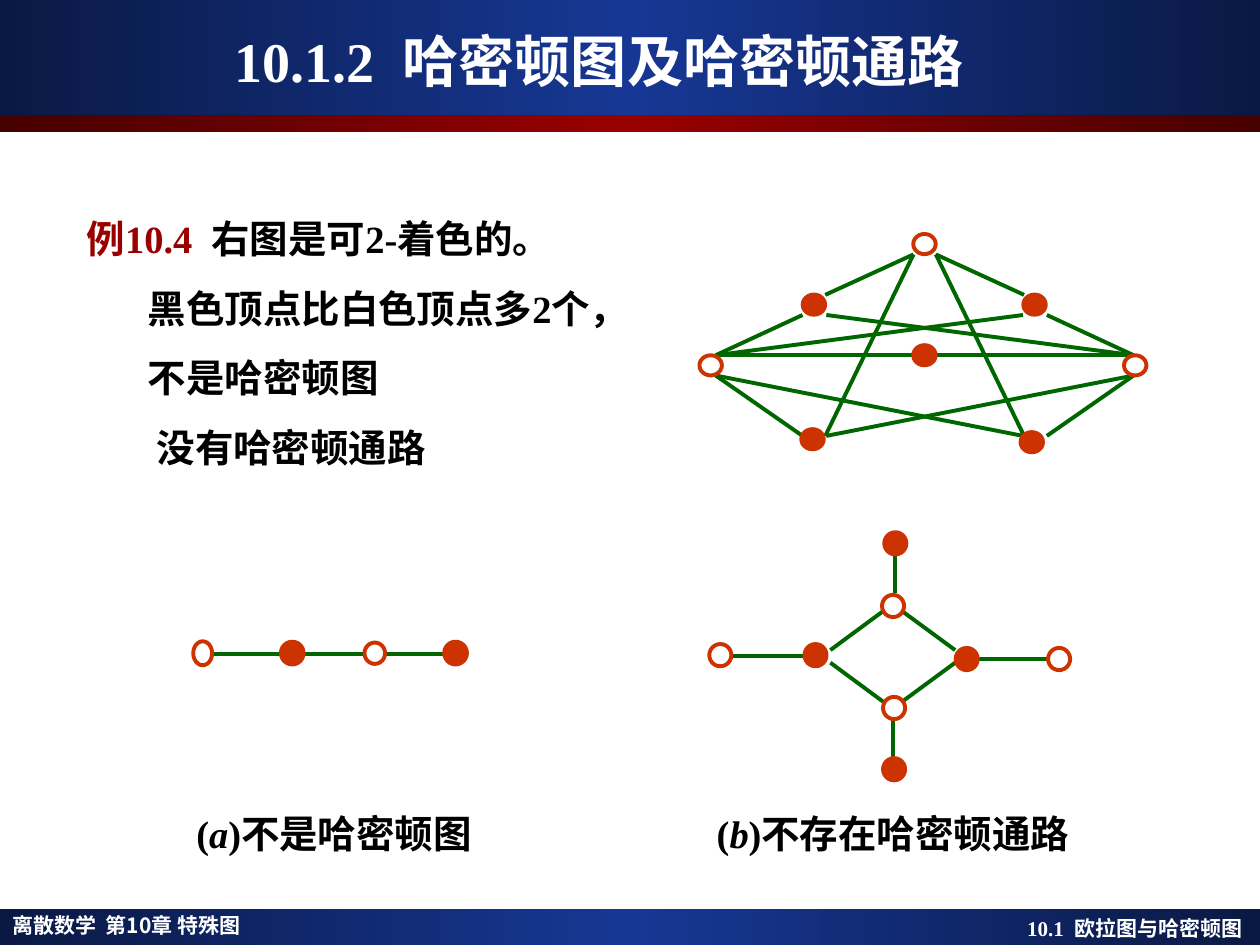
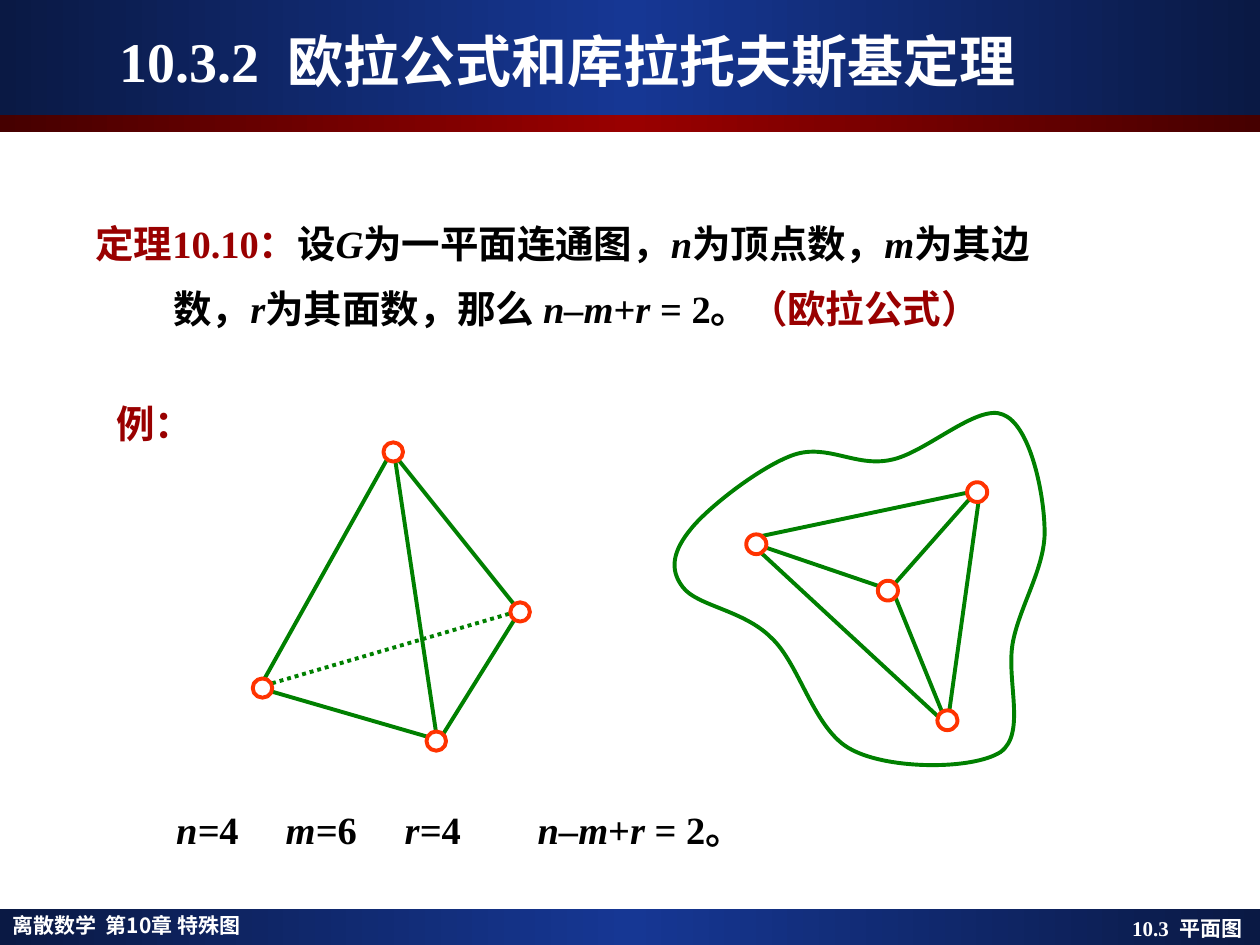
from copy import deepcopy

from pptx import Presentation
from pptx.dml.color import RGBColor
from pptx.enum.dml import MSO_LINE
from pptx.enum.shapes import MSO_CONNECTOR, MSO_SHAPE
from pptx.enum.text import MSO_ANCHOR, PP_ALIGN
from pptx.oxml.ns import qn
from pptx.util import Pt
from lxml.etree import SubElement

WHITE = RGBColor(0xFF, 0xFF, 0xFF)
BLACK = RGBColor(0, 0, 0)
NAVY = RGBColor(0x0A, 0x19, 0x44)
BLUE = RGBColor(0x16, 0x37, 0x94)
MAROON = RGBColor(0x46, 0, 0)
RED = RGBColor(0x99, 0, 0)
RUST = RGBColor(0xCC, 0x33, 0)
ORANGE = RGBColor(0xFF, 0x33, 0)
PINE = RGBColor(0, 0x66, 0)
GREEN = RGBColor(0, 0x80, 0)

SERIF, SANS, KANJI = "Times New Roman", "Noto Sans CJK SC", "Noto Sans CJK JP"
WIDE, HIGH = 720, 540
INSET = 7.2
FOOT = 519.5

# Bands: top, height, edge colour, middle colour
BANDS = [(FOOT, HIGH - FOOT, NAVY, BLUE), (0, 65.5, NAVY, BLUE),
         (65.5, 9.8, MAROON, RED)]
COURSE = "离散数学  第10章 特殊图"

# Runs are (text, marks): r = red, i = italic. Paragraphs are (indent, runs).
EXAMPLE = [
    (0, [("例10.4  ", "r"), ("右图是可2-着色的。", "")]),
    (35, [("黑色顶点比白色顶点多2个，", "")]),
    (35, [("不是哈密顿图", "")]),
    (40, [("没有哈密顿通路", "")]),
]
EULER = [("n–m", "i"), ("+", ""), ("r ", "i")]
THEOREM = [
    (5, [("定理10.10：", "r"), ("设", ""), ("G", "i"), ("为一平面连通图，", ""),
         ("n", "i"), ("为顶点数，", ""), ("m", "i"), ("为其边", "")]),
    (49.6, [("数，", ""), ("r", "i"), ("为其面数，那么 ", ""), *EULER,
            ("= 2。", ""), ("（欧拉公式）", "r")]),
]
# Labels: left, width, runs
CAPTIONS = [
    (105.1, 220, [("(", ""), ("a", "i"), (")不是哈密顿图", "")]),
    (402.5, 260, [("(", ""), ("b", "i"), (")不存在哈密顿通路", "")]),
]
COUNTS = [
    (93.6, 60, [("n=", "i"), ("4", "")]),
    (156.2, 60, [("m=", "i"), ("6", "")]),
    (224.2, 60, [("r=", "i"), ("4", "")]),
    (300.2, 224, [*EULER, ("= 2。", "")]),
]

# Edges are (x1, y1, x2, y2); nodes are (fill, (width, height), centres).
AXIS = 528.4
HALF = [
    (522, 145.4, 471.6, 168.5), (458.6, 180, 409, 203),
    (522, 145.4, 471.6, 249.1), (409, 214.6, 458.6, 249.1),
    (409, 214.6, 584.6, 249.1), (409, 203, 584.6, 180),
]
MIRROR = [(2 * AXIS - a, b, 2 * AXIS - c, d) for a, b, c, d in HALF]
COLOURED = {
    "edges": [(409, 203, 648, 203), *HALF, *MIRROR],
    "nodes": [
        (RUST, (12.8, 11.5), [(465.1, 174.1), (591.2, 174.1), (528.3, 203),
                              (464.3, 251), (589.6, 252.7)]),
        (None, (12.8, 11.5), [(528.3, 139.5), (406.1, 208.8), (648.7, 208.8)]),
    ],
}
DIAMOND = {
    "edges": [
        (419, 375.1, 460.1, 375.1), (557.3, 376.6, 598.3, 376.6),
        (504.7, 349.2, 474.5, 371.5), (515.5, 349.2, 545.8, 371.5),
        (474.5, 378.7, 504.7, 401), (545.8, 378.7, 515.5, 401),
        (510.5, 411.1, 510.5, 433.4), (511.2, 316.8, 511.2, 339.1),
    ],
    "nodes": [
        (None, (12.6, 12.7), [(411.6, 374.4), (510.3, 346.3), (510.9, 404.6),
                              (605.2, 376.6)]),
        (RUST, (12.6, 12.7), [(466, 374.4), (552.4, 376.6), (510.9, 439.6),
                              (511.6, 310.5)]),
    ],
}
CHAIN = {
    "edges": [(115.2, 373.7, 257, 373.7)],
    "nodes": [
        (RUST, (13, 13), [(167, 373.2), (260.3, 373.2)]),
        (WHITE, (10.8, 13.7), [(115.8, 373.3)]),
        (WHITE, (11.8, 12.2), [(214.2, 373.3)]),
    ],
}
SOLID = {
    "edges": [
        (225.4, 259.9, 249.8, 422.6), (221.8, 261.4, 149, 391.7),
        (150.5, 393.8, 249.8, 422.6), (225.4, 259.9, 297.4, 349.9),
        (296.6, 349.9, 251.3, 422.6),
    ],
    "dotted": [(151.2, 391.7, 293.8, 349.9)],
    "nodes": [(WHITE, (11.2, 11), [(297.2, 349.7), (249.3, 423.5), (150, 393.2),
                                   (224.7, 258.3)])],
}
PLANAR = {
    "edges": [
        (432, 311, 508.3, 337), (557.3, 281.5, 507.6, 337.7),
        (510.5, 338.4, 538.6, 407.5), (432, 313.2, 537.1, 410.4),
        (553, 281.5, 433.4, 306.7), (559.4, 285.1, 542.2, 408.2),
    ],
    "nodes": [(WHITE, (11.5, 11.3), [(432.2, 311), (507.4, 337.5), (541.4, 411.6),
                                     (558.4, 281.2)])],
}
# Closed curve: a start, then two handles and an end for each arc
START = (395.3, 301.7)
ARCS = [
    ((405.4, 289.4), (434.9, 266.4), (453.6, 259.9)),
    ((473, 253.4), (488.9, 267.1), (509, 262.8)),
    ((528.5, 259.2), (558.7, 230.4), (573.1, 236.9)),
    ((588.2, 242.6), (596.2, 279.4), (596.9, 301)),
    ((598.3, 322.6), (583.2, 344.9), (578.9, 366.5)),
    ((574.6, 388.1), (586.8, 419), (571.7, 429.8)),
    ((555.8, 439.9), (508.3, 439.9), (486.7, 428.4)),
    ((465.1, 417.6), (457.2, 379.4), (440.6, 364.3)),
    ((424.8, 348.5), (398.2, 346.3), (390.2, 335.5)),
    ((382.3, 325.4), (384.5, 314.6), START),
]


def write(shape, paras, size=22, colour=BLACK, font=SERIF, east=SANS,
          align=PP_ALIGN.LEFT, lines=1.0, before=0, right=INSET):
    """Fill a shape with paragraphs of marked runs; a plain string is one run."""
    if isinstance(paras, str):
        paras = [(0, [(paras, "")])]
    frame = shape.text_frame
    frame.word_wrap = True
    frame.margin_left, frame.margin_right = Pt(INSET), Pt(right)
    frame.margin_top = frame.margin_bottom = Pt(3.6)
    for i, (indent, runs) in enumerate(paras):
        para = frame.add_paragraph() if i else frame.paragraphs[0]
        props = para._p.get_or_add_pPr()
        props.set("marL", str(Pt(indent)))
        props.set("indent", "0")
        para.alignment, para.line_spacing = align, lines
        para.space_before = Pt(before if i else 0)
        for text, marks in runs:
            run = para.add_run()
            run.text = text
            run.font.size, run.font.bold = Pt(size), True
            run.font.italic = "i" in marks
            run.font.color.rgb = RED if "r" in marks else colour
            run.font.name = font
            SubElement(run._r.get_or_add_rPr(), qn("a:ea"), typeface=east)


def box(slide, place, paras, **style):
    write(slide.shapes.add_textbox(*map(Pt, place)), paras, **style)


def row(slide, top, height, labels, **style):
    for left, width, runs in labels:
        box(slide, (left, top, width, height), [(0, runs)], **style)


def band(slide, top, height, edge, middle):
    shape = slide.shapes.add_shape(
        MSO_SHAPE.RECTANGLE, 0, Pt(top), Pt(WIDE), Pt(height))
    shape.shadow.inherit = False
    shape.line.fill.background()
    fill = shape.fill
    fill.gradient()
    fill.gradient_angle = 0
    stops = next(shape._element.spPr.iter(qn("a:gsLst")))
    stops.append(deepcopy(stops[0]))
    for i, stop in enumerate(fill.gradient_stops):
        stop.position = i / 2
        stop.color.rgb = (edge, middle, edge)[i]


def page(deck, title, section, shift):
    """Add a slide with bands, footers and a title moved left by shift."""
    slide = deck.slides.add_slide(deck.slide_layouts[5])
    for args in BANDS:
        band(slide, *args)
    foot = {"size": 12, "colour": WHITE}
    box(slide, (0, FOOT, 297.4, 20), COURSE, font=KANJI, east=KANJI, lines=0.9, **foot)
    box(slide, (535.7, FOOT, 184.3, 21.6), section, align=PP_ALIGN.RIGHT,
        right=INSET + 2.8, **foot)
    head = slide.shapes.title
    slide.shapes._spTree.append(head._element)
    head.left, head.top, head.width, head.height = map(Pt, (23.8, 12.2, 666, 44.6))
    write(head, title, size=32, colour=WHITE, align=PP_ALIGN.CENTER,
          right=INSET + 2 * shift)
    head.text_frame.vertical_anchor = MSO_ANCHOR.MIDDLE
    return slide


def pen(shape, colour):
    shape.line.color.rgb = colour
    shape.line.width = Pt(2.25)


def link(slide, ends, colour, dotted=False):
    line = slide.shapes.add_connector(MSO_CONNECTOR.STRAIGHT, *map(Pt, ends))
    pen(line, colour)
    if dotted:
        line.line.dash_style = MSO_LINE.ROUND_DOT
    SubElement(line._element.spPr, qn("a:effectLst"))


def node(slide, centre, size, fill, colour):
    (x, y), (w, h) = centre, size
    dot = slide.shapes.add_shape(
        MSO_SHAPE.OVAL, Pt(x - w / 2), Pt(y - h / 2), Pt(w), Pt(h))
    dot.shadow.inherit = False
    pen(dot, colour)
    if fill is None:
        dot.fill.background()
    else:
        dot.fill.solid()
        dot.fill.fore_color.rgb = fill


def graph(slide, data, line, ring):
    for ends in data["edges"]:
        link(slide, ends, line)
    for ends in data.get("dotted", []):
        link(slide, ends, line, dotted=True)
    for fill, size, spots in data["nodes"]:
        for spot in spots:
            node(slide, spot, size, fill, ring)


def blob(slide):
    """Draw the closed curve, turning each three segments into one cubic arc."""
    pencil = slide.shapes.build_freeform(*map(Pt, START))
    spots = [(Pt(x), Pt(y)) for arc in ARCS for x, y in arc]
    pencil.add_line_segments(spots, close=True)
    shape = pencil.convert_to_shape()
    parts = list(shape._element.spPr.iter(qn("a:lnTo")))
    for i in range(0, len(ARCS) * 3, 3):
        arc = parts[i]
        curve = SubElement(arc.getparent(), qn("a:cubicBezTo"))
        arc.addprevious(curve)
        for part in parts[i:i + 3]:
            curve.append(part[0])
            part.getparent().remove(part)
    shape.shadow.inherit = False
    shape.fill.background()
    pen(shape, GREEN)


def main():
    deck = Presentation()
    deck.slide_width, deck.slide_height = Pt(WIDE), Pt(HIGH)

    slide = page(deck, "10.1.2  哈密顿图及哈密顿通路", "10.1  欧拉图与哈密顿图", 14.4)
    box(slide, (42.5, 111.5, 357, 193), EXAMPLE, lines=1.3, before=5.5)
    for data in (COLOURED, DIAMOND, CHAIN):
        graph(slide, data, PINE, RUST)
    row(slide, 451.4, 45.4, CAPTIONS, lines=1.3)

    slide = page(deck, "10.3.2  欧拉公式和库拉托夫斯基定理", "10.3  平面图", 32.4)
    box(slide, (42.5, 117, 677.5, 90.7), THEOREM, lines=1.2, before=5.5)
    blob(slide)
    for data in (SOLID, PLANAR):
        graph(slide, data, GREEN, ORANGE)
    box(slide, (59.4, 225, 85, 33.8), "例：", colour=RED)
    row(slide, 451.8, 38.9, COUNTS, lines=1.2)

    deck.save("out.pptx")


if __name__ == "__main__":
    main()
